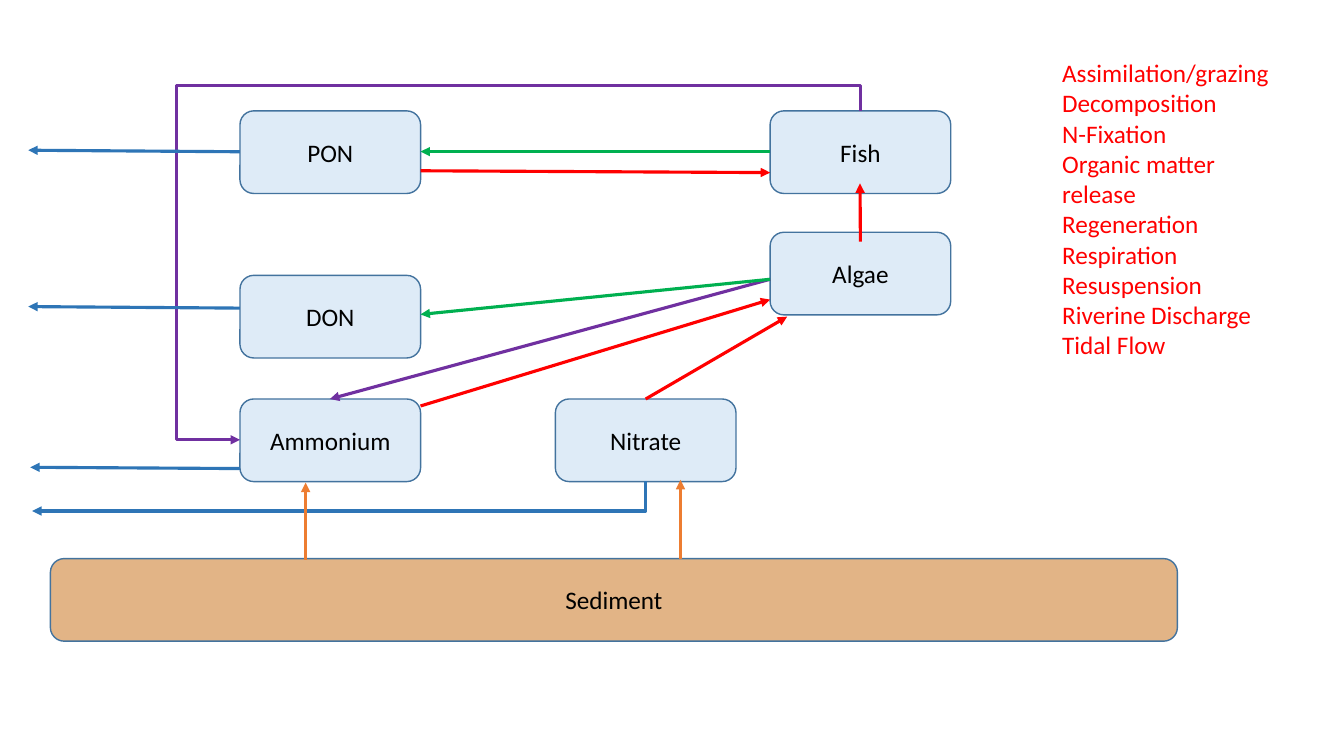
from pptx import Presentation
from pptx.util import Pt
from pptx.dml.color import RGBColor
from pptx.enum.shapes import MSO_SHAPE as SHAPE, MSO_CONNECTOR as CONN
from pptx.enum.text import PP_ALIGN as ALIGN, MSO_ANCHOR as ANCHOR, MSO_AUTO_SIZE as AUTO
from pptx.oxml.ns import qn
from lxml import etree

COLORS = {
    "pool": "DEEBF7", "sediment": "E2B486", "outline": "43739E", "text": "000000",
    "tidal": "2E75B6", "regeneration": "7030A0", "release": "00B050",
    "resuspension": "ED7D31", "assimilation": "FF0000",
}


class Diagram:
    font, size, line_width = "Calibri", Pt(18), Pt(2.25)

    def __init__(self, prs):
        self.s = prs.slides.add_slide(prs.slide_layouts[1])

    def color(self, name):
        return RGBColor.from_string(COLORS[name])

    def style(self, p, color):
        for r in p.runs:
            r.font.name, r.font.size = self.font, self.size
            r.font.color.rgb = self.color(color)

    def box(self, text, x, y, w=129, h=59, fill="pool"):
        sp = self.s.shapes.add_shape(SHAPE.ROUNDED_RECTANGLE, Pt(x), Pt(y), Pt(w), Pt(h))
        sp.shadow.inherit = False
        sp.fill.solid()
        sp.fill.fore_color.rgb = self.color(fill)
        sp.line.color.rgb = self.color("outline")
        sp.line.width = Pt(1)
        tf = sp.text_frame
        tf.text = text
        tf.vertical_anchor = ANCHOR.MIDDLE
        p = tf.paragraphs[0]
        p.alignment = ALIGN.CENTER
        self.style(p, "text")

    def arrow(self, start, end, color, kind=CONN.STRAIGHT):
        c = self.s.shapes.add_connector(kind, *(Pt(v) for v in (*start, *end)))
        c.line.color.rgb = self.color(color)
        c.line.width = self.line_width
        ln = c.line._get_or_add_ln()
        etree.SubElement(ln, qn("a:tailEnd"), type="triangle")
        etree.SubElement(c._element.spPr, qn("a:effectLst"))
        return c

    def elbow(self, start, end, color, preset, flipped=False, adjust=()):
        """Arrow that leaves vertically: a bent connector turned by a quarter."""
        (x1, y1), (x2, y2) = start, end
        cx, cy = (x1 + x2) / 2, (y1 + y2) / 2
        half_w, half_h = abs(y2 - y1) / 2, abs(x2 - x1) / 2
        corners = [(cx - half_w, cy - half_h), (cx + half_w, cy + half_h)]
        if flipped:
            corners.reverse()
        c = self.arrow(*corners, color, CONN.ELBOW)
        spPr = c._element.spPr
        spPr.find(qn("a:xfrm")).set("rot", str((270 if flipped else 90) * 60000))
        geom = spPr.find(qn("a:prstGeom"))
        geom.set("prst", preset)
        guides = geom.find(qn("a:avLst"))
        for i, value in enumerate(adjust, 1):
            etree.SubElement(guides, qn("a:gd"), name=f"adj{i}", fmla=f"val {value}")

    def items(self, lines, x, y, w, h, color):
        sp = self.s.placeholders[1]
        sp.left, sp.top, sp.width, sp.height = Pt(x), Pt(y), Pt(w), Pt(h)
        tf = sp.text_frame
        tf.text = "\n".join(lines)
        tf.word_wrap = True
        tf.auto_size = AUTO.SHAPE_TO_FIT_TEXT
        tf.vertical_anchor = ANCHOR.TOP
        for p in tf.paragraphs:
            p.space_before = Pt(0)
            pPr = p._p.get_or_add_pPr()
            pPr.set("marL", "0")
            pPr.set("indent", "0")
            etree.SubElement(pPr, qn("a:buNone"))
            self.style(p, color)


prs = Presentation()
prs.slide_width, prs.slide_height = Pt(960), Pt(540)
d = Diagram(prs)
title = d.s.shapes.title._element
title.getparent().remove(title)

# Nitrogen pools
LEFT, MIDDLE, RIGHT = 171.4, 396.7, 550.1
TOP, LOW = 79.2, 285
for name, x, y in [
    ("PON", LEFT, TOP), ("DON", LEFT, 196.7), ("Ammonium", LEFT, LOW),
    ("Fish", RIGHT, TOP), ("Nitrate", MIDDLE, LOW), ("Algae", RIGHT, 165.9),
]:
    d.box(name, x, y)
d.box("Sediment", 36, 399, w=805, fill="sediment")

# Routed flows: nitrate outflow and fish regeneration
LEFT_EDGE = LEFT + 129
NITRATE_X, FISH_X = MIDDLE + 64.5, RIGHT + 64.5
d.elbow((NITRATE_X, 343.7), (23, 365), "tidal", "bentConnector2")
d.elbow((FISH_X, TOP), (LEFT, 314.2), "regeneration", "bentConnector4",
        flipped=True, adjust=(-7700, 110200))

# Straight flows
for start, end, color in [
    ((LEFT, 334.7), (21.6, 333.8), "tidal"),
    ((LEFT, 220.1), (20.2, 219), "tidal"),
    ((LEFT, 108.4), (20.2, 107.3), "tidal"),
    ((RIGHT, 199.5), (235.7, LOW), "regeneration"),
    ((RIGHT, 199.5), (LEFT_EDGE, 224.6), "release"),
    ((RIGHT, 108.3), (LEFT_EDGE, 108.3), "release"),
    ((218.3, 400), (218.3, 344.8), "resuspension"),
    ((486.1, 399), (486.1, 342.8), "resuspension"),
    ((LEFT_EDGE, 290), (RIGHT, 214), "assimilation"),
    ((LEFT_EDGE, 122), (RIGHT, 123.3), "assimilation"),
    ((NITRATE_X, LOW), (562.3, 226.2), "assimilation"),
    ((FISH_X, 172.6), (614.3, 131), "assimilation"),
]:
    d.arrow(start, end, color)

# List of processes
d.items(["Assimilation/grazing", "Decomposition", "N-Fixation", "Organic matter release",
         "Regeneration", "Respiration", "Resuspension", "Riverine Discharge", "Tidal Flow"],
        751.5, 37.5, 168, 247, "assimilation")

prs.save("out.pptx")
